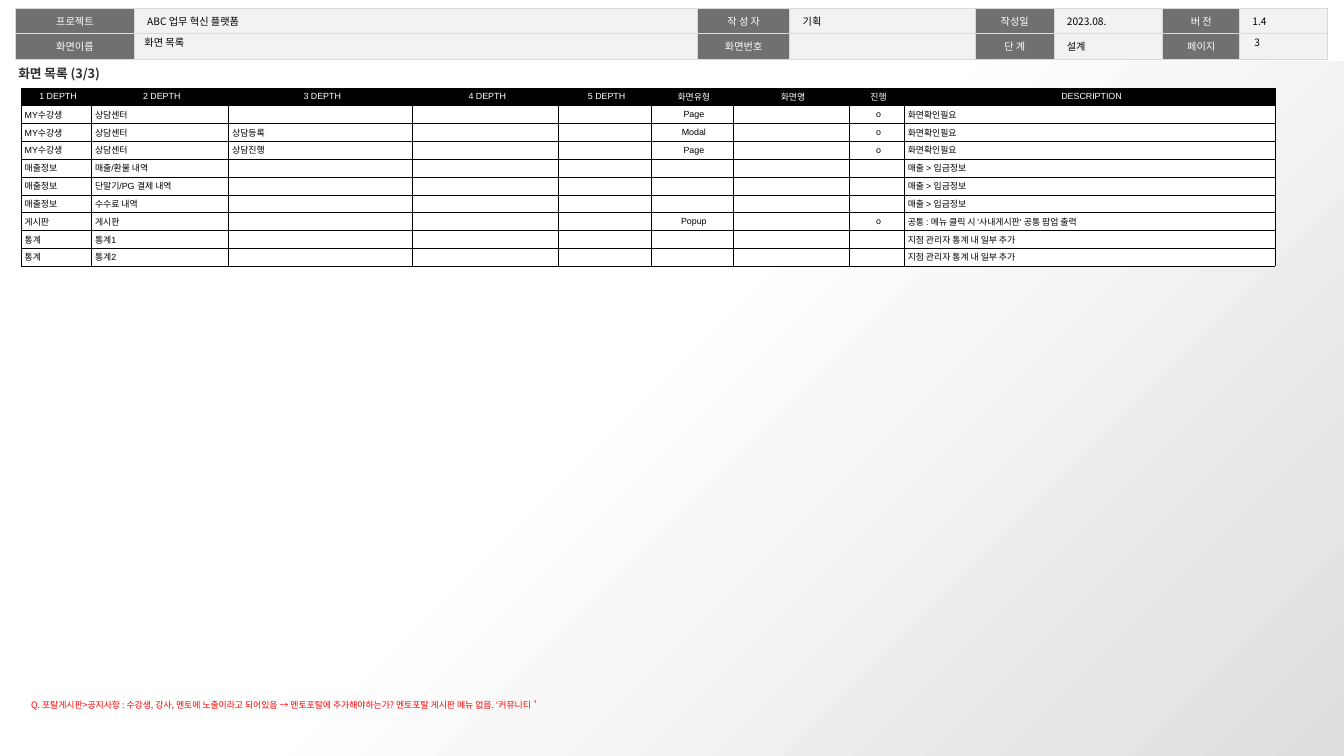
import pptx
import pptx.util
import pptx.dml.color
import pptx.enum.shapes
import pptx.enum.text
import pptx.oxml
import pptx.oxml.ns

PX = 4572
SANS = "Noto Sans CJK KR"
ALIGN = pptx.enum.text.PP_ALIGN
ANCHOR = pptx.enum.text.MSO_ANCHOR

HEAD_COLS = [260, 1232, 202, 406, 172, 238, 168, 192]
HEAD_ROWS = [
    ["프로젝트", "ABC 업무 혁신 플랫폼", "작 성 자", "기획",
     "작성일", "2023.08.", "버 전", "1.4"],
    ["화면이름", "", "화면번호", "", "단 계", "설계", "페이지", ""],
]
LIST_COLS = [154, 300, 402, 320, 202, 180, 254, 120, 812]
LIST_HEAD = ["1 DEPTH", "2 DEPTH", "3 DEPTH", "4 DEPTH", "5 DEPTH",
             "화면유형", "화면명", "진행", "DESCRIPTION"]
SCREENS = [
    ("MY수강생", "상담센터", "", "Page", "o", "화면확인필요"),
    ("MY수강생", "상담센터", "상담등록", "Modal", "o", "화면확인필요"),
    ("MY수강생", "상담센터", "상담진행", "Page", "o", "화면확인필요"),
    ("매출정보", "매출/환불 내역", "", "", "", "매출 > 입금정보"),
    ("매출정보", "단말기/PG 결제 내역", "", "", "", "매출 > 입금정보"),
    ("매출정보", "수수료 내역", "", "", "", "매출 > 입금정보"),
    ("게시판", "게시판", "", "Popup", "o",
     "공통 : 메뉴 클릭 시 '사내게시판' 공통 팝업 출력"),
    ("통계", "통계1", "", "", "", "지점 관리자 통계 내 일부 추가"),
    ("통계", "통계2", "", "", "", "지점 관리자 통계 내 일부 추가"),
]
NOTE = ("Q. 포탈게시판>공지사항 : 수강생, 강사, 멘토에 노출이라고 되어있음 → "
        "멘토포탈에 추가해야하는가? 멘토포탈 게시판 메뉴 없음. ‘커뮤니티＇")


def px(count):
    return pptx.util.Emu(count * PX)


def tint(code):
    return pptx.dml.color.RGBColor.from_string(code)


def write(frame, text, size, color, face=SANS, bold=False, align=None, lead=None):
    line = frame.paragraphs[0]
    line.text = text
    line.alignment = align
    line.line_spacing = lead
    font = line.font
    font.size = pptx.util.Pt(size)
    font.name = face
    font.bold = bold
    font.color.rgb = tint(color)
    east = pptx.oxml.parse_xml(
        f'<a:ea {pptx.oxml.ns.nsdecls("a")} typeface="{SANS}"/>')
    font._element.append(east)
    if not text:
        line._p.get_or_add_endParaRPr().set("sz", str(size * 100))


def inset(item, left, top, right, bottom):
    item.margin_left, item.margin_right = px(left), px(right)
    item.margin_top, item.margin_bottom = px(top), px(bottom)


def border(cell, color, width):
    props = cell._tc.get_or_add_tcPr()
    for spot, side in enumerate("LRTB"):
        props.insert(spot, pptx.oxml.parse_xml(
            f'<a:ln{side} {pptx.oxml.ns.nsdecls("a")} w="{int(width * 12700)}">'
            f'<a:solidFill><a:srgbClr val="{color}"/></a:solidFill></a:ln{side}>'))


def grid(slide, left, top, widths, high, count):
    table = slide.shapes.add_table(
        count, len(widths), px(left), px(top),
        px(sum(widths)), px(high * count)).table
    table.first_row = table.horz_banding = False
    for col, width in zip(table.columns, widths):
        col.width = px(width)
    for row in table.rows:
        row.height = px(high)
    return table


def fill(cell, color):
    cell.fill.solid()
    cell.fill.fore_color.rgb = tint(color)


def header(slide, left, top):
    table = grid(slide, left, top, HEAD_COLS, 56, len(HEAD_ROWS))
    for r, texts in enumerate(HEAD_ROWS):
        for c, text in enumerate(texts):
            label = c % 2 == 0
            cell = table.cell(r, c)
            inset(cell, 28, 10, 28, 10)
            fill(cell, "707070" if label else "F2F2F2")
            border(cell, "D9D9D9", 1)
            write(cell.text_frame, text, 8, "FFFFFF" if label else "000000",
                  align=ALIGN.CENTER if label else ALIGN.LEFT, lead=1.05)


def screens(slide, left, top):
    rows = [LIST_HEAD]
    for first, second, third, kind, done, about in SCREENS:
        rows.append([first, second, third, "", "", kind, "", done, about])
    table = grid(slide, left, top, LIST_COLS, 39, len(rows))
    for r, texts in enumerate(rows):
        for c, text in enumerate(texts):
            cell = table.cell(r, c)
            inset(cell, 8, 4, 0, 4)
            cell.vertical_anchor = ANCHOR.MIDDLE
            fill(cell, "FFFFFF" if r else "000000")
            border(cell, "000000", 0.25)
            mid = r == 0 or c in (5, 7)
            write(cell.text_frame, text, 7, "000000" if r else "FFFFFF",
                  "Arial", align=ALIGN.CENTER if mid else ALIGN.LEFT)


def backdrop(slide, left, top, width, height):
    panel = slide.shapes.add_shape(
        pptx.enum.shapes.MSO_SHAPE.RECTANGLE,
        px(left), px(top), px(width), px(height))
    panel.shadow.inherit = False
    panel.line.fill.background()
    panel.fill.gradient()
    panel.fill.gradient_angle = 315
    stops = zip(panel.fill.gradient_stops, [(0.45, "FFFFFF"), (1, "DEDEDE")])
    for stop, (place, color) in stops:
        stop.position = place
        stop.color.rgb = tint(color)


def label(slide, left, top, width, height, text, pad):
    frame = slide.shapes.add_textbox(
        px(left), px(top), px(width), px(height)).text_frame
    frame.word_wrap = True
    frame.vertical_anchor = ANCHOR.MIDDLE
    inset(frame, pad, 10, pad, 10)
    write(frame, text, 8, "000000")


def caption(slide, left, top, width, height, text, size, color, bold=False):
    frame = slide.shapes.add_textbox(
        px(left), px(top), px(width), px(height)).text_frame
    frame.word_wrap = False
    frame.auto_size = pptx.enum.text.MSO_AUTO_SIZE.SHAPE_TO_FIT_TEXT
    inset(frame, 0, 10, 0, 10)
    write(frame, text, size, color, bold=bold, lead=1.5)


def main():
    deck = pptx.Presentation()
    deck.slide_width, deck.slide_height = px(2940), px(1654)
    slide = deck.slides.add_slide(deck.slide_layouts[6])
    header(slide, 34, 18)
    backdrop(slide, 0, 134, 2940, 1520)
    label(slide, 2724, 76, 144, 32, "3", 20)
    label(slide, 294, 76, 1084, 32, "화면 목록", 22)
    caption(slide, 40, 118, 196, 70, "화면 목록 (3/3)", 10, "2E2E2E", True)
    caption(slide, 68, 1510, 1256, 56, NOTE, 7, "FF0000")
    screens(slide, 46, 192)
    deck.save("out.pptx")


if __name__ == "__main__":
    main()
